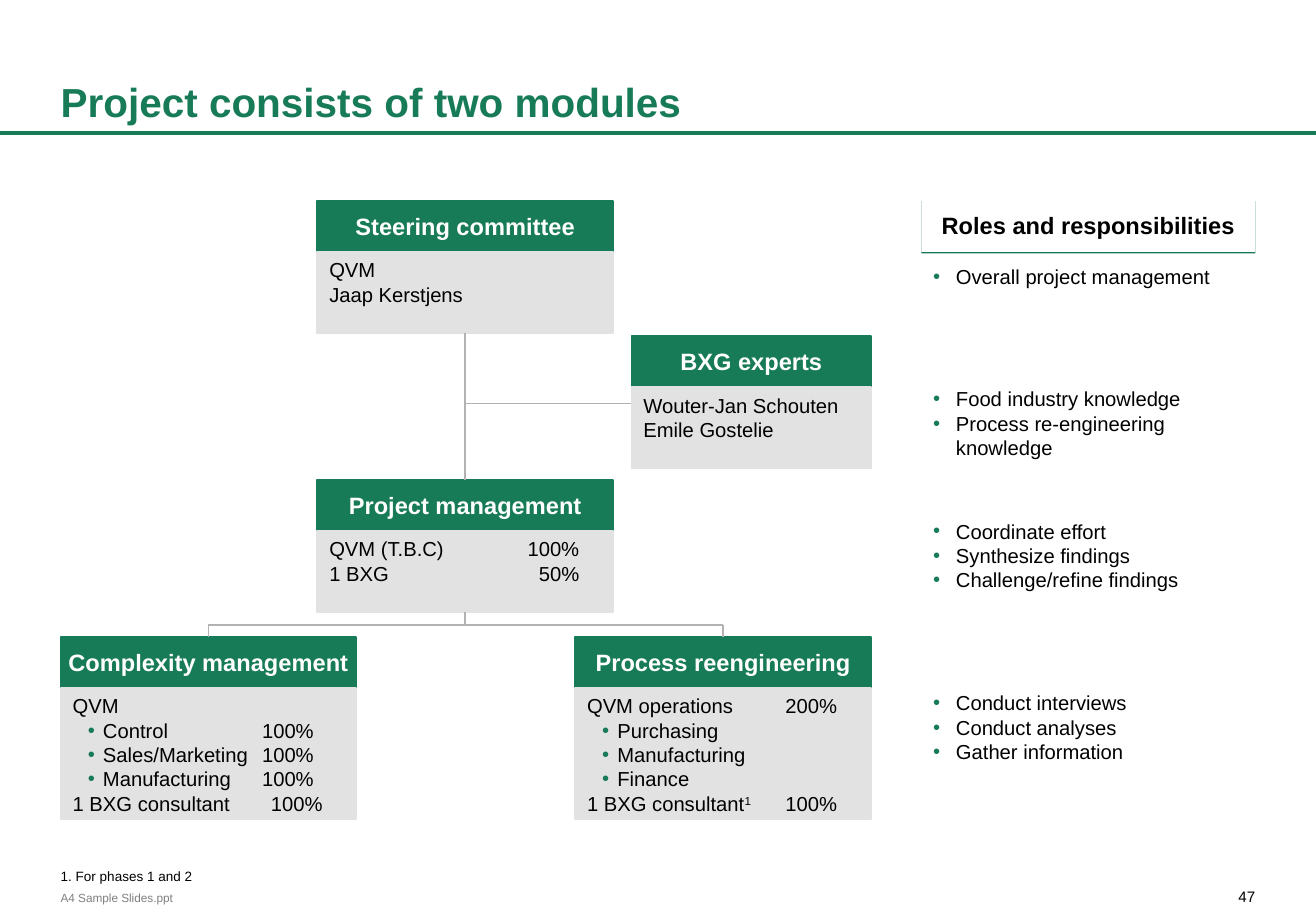
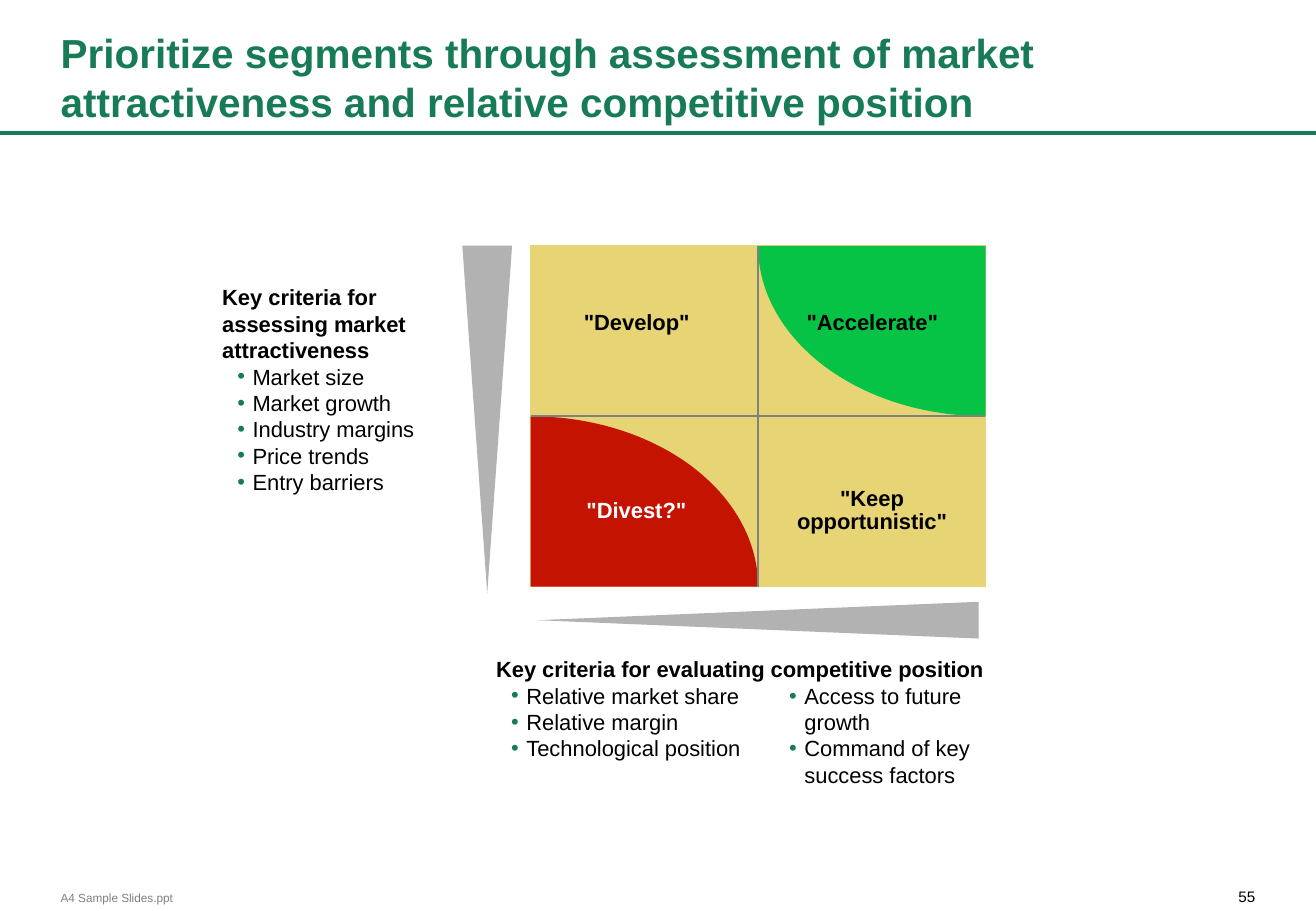
"""Build two consulting slides: a project organisation chart and a segment priority matrix."""
from itertools import chain
from math import cos, pi, sin

from lxml.etree import SubElement
from pptx import Presentation
from pptx.dml.color import RGBColor
from pptx.enum.shapes import MSO_CONNECTOR as Connector, MSO_SHAPE as Preset
from pptx.enum.text import MSO_ANCHOR as Anchor, PP_ALIGN as Align
from pptx.oxml.ns import qn
from pptx.util import Pt

GREEN = RGBColor(0x17, 0x7B, 0x57)
PANEL = RGBColor(0xE2, 0xE2, 0xE2)
SILVER = RGBColor(0xB2, 0xB2, 0xB2)
GREY = RGBColor(0x80, 0x80, 0x80)
SAND = RGBColor(0xE7, 0xD4, 0x75)
LIME = RGBColor(0x06, 0xC2, 0x45)
RED = RGBColor(0xC4, 0x13, 0x00)
BLACK = RGBColor(0, 0, 0)
WHITE = RGBColor(0xFF, 0xFF, 0xFF)

FONT = "Arial"
WIDTH, HEIGHT = 780.48, 540
MARGIN, RIGHT = 36, 744.5
BULLET = "• "

BASE = {"size": 12, "bold": False, "color": BLACK, "align": Align.LEFT, "anchor": Anchor.TOP,
        "insets": (7.2, 3.6, 7.2, 3.6), "wrap": True, "spacing": None, "hang": (18, 9), "tab": None}
TITLE = {"size": 24, "bold": True, "color": GREEN, "anchor": Anchor.BOTTOM, "insets": (0, 3.6, 0, 3.6)}
PAGE = {"size": 9, "align": Align.RIGHT, "insets": (0, 0, 0, 0)}
FOOTER = {"size": 7, "color": GREY, "anchor": Anchor.MIDDLE, "insets": (0, 0, 0, 0)}
NOTE = {"size": 8, "anchor": Anchor.BOTTOM, "insets": (0, 0, 0, 0), "spacing": 0.9}
HEADER = {"size": 14, "bold": True, "color": WHITE, "align": Align.CENTER, "anchor": Anchor.MIDDLE,
          "wrap": False}
MEMBERS = {"tab": 148.3}
ROLES_HEADER = {"size": 14, "bold": True, "align": Align.CENTER, "anchor": Anchor.BOTTOM,
                "insets": (7.2, 7.2, 7.2, 7.2)}
ROLES = {"insets": (7.2, 7.2, 7.2, 3.6), "hang": (13.5, 13.5)}
CRITERIA = {"size": 13, "bold": True, "insets": (9.4, 5, 5.8, 5)}
QUADRANT = {"size": 13, "bold": True, "align": Align.CENTER, "anchor": Anchor.MIDDLE,
            "insets": (7.5, 5, 7.5, 5), "spacing": 0.9}

FOOTER_TEXT = "A4 Sample Slides.ppt"
ORGANISATION = {
    "title": "Project consists of two modules",
    "page": 47,
    "note": "1. For phases 1 and 2",
    "roles_title": "Roles and responsibilities",
    "units": {
        "steering": (188.2, 119.2, 175.5, 48.4, "Steering committee", ["QVM", "Jaap Kerstjens"]),
        "experts": (374.5, 199.3, 142.2, 48.4, "BXG experts",
                    ["Wouter-Jan Schouten", "Emile Gostelie"]),
        "management": (188.2, 284.6, 175.5, 48.4, "Project management",
                       ["QVM (T.B.C)\t100%", "1 BXG\t50%"]),
        "complexity": (36, 377.7, 175.2, 78, "Complexity management",
                       ["QVM", "• Control\t100%", "• Sales/Marketing\t100%",
                        "• Manufacturing\t100%", "1 BXG consultant\t100%"]),
        "process": (341.1, 377.7, 175.6, 78, "Process reengineering",
                    ["QVM operations\t200%", "• Purchasing", "• Manufacturing", "• Finance",
                     "1 BXG consultant^1^\t100%"]),
    },
    "roles": [
        (149.4, ["Overall project management"]),
        (222, ["Food industry knowledge", "Process re-engineering knowledge"]),
        (300.4, ["Coordinate effort", "Synthesize findings", "Challenge/refine findings"]),
        (402.2, ["Conduct interviews", "Conduct analyses", "Gather information"]),
    ],
}
MATRIX = {
    "title": "Prioritize segments through assessment of market attractiveness "
             "and relative competitive position",
    "page": 55,
    "criteria": [
        (122.4, 163.4, 152, 134.6,
         ["Key criteria for assessing market attractiveness", "• Market size", "• Market growth",
          "• Industry margins", "• Price trends", "• Entry barriers"]),
        (284.8, 383.8, 324.7, 71.3,
         ["Key criteria for evaluating competitive position", "• Relative market share",
          "• Relative margin", "• Technological position"]),
        (449.7, 399.5, 159.8, 67,
         ["• Access to future growth", "• Command of key success factors"]),
    ],
    "quadrants": [
        (377.6, 191.8, 92, '"Develop"', BLACK),
        (517.3, 191.8, 104, '"Accelerate"', BLACK),
        (377.4, 303, 84, '"Divest?"', WHITE),
        (517.2, 302.8, 113, '"Keep opportunistic"', BLACK),
    ],
}


def set_attributes(target, values):
    for name, value in values.items():
        setattr(target, name, value)


def add_bullet(paragraph, hang):
    indent, outdent = hang
    properties = paragraph._p.get_or_add_pPr()
    properties.set("marL", str(Pt(indent)))
    properties.set("indent", str(-Pt(outdent)))
    SubElement(SubElement(properties, qn("a:buClr")), qn("a:srgbClr")).set("val", str(GREEN))
    SubElement(properties, qn("a:buFont")).set("typeface", FONT)
    SubElement(properties, qn("a:buChar")).set("char", BULLET.strip())


def add_tab(paragraph, position):
    tabs = SubElement(paragraph._p.get_or_add_pPr(), qn("a:tabLst"))
    tab = SubElement(tabs, qn("a:tab"))
    tab.set("pos", str(Pt(position)))
    tab.set("algn", "r")


def write(shape, lines, style):
    style = BASE | style
    left, top, right, bottom = map(Pt, style["insets"])
    frame = shape.text_frame
    set_attributes(frame, {"margin_left": left, "margin_top": top, "margin_right": right,
                           "margin_bottom": bottom, "word_wrap": style["wrap"],
                           "vertical_anchor": style["anchor"]})
    for index, line in enumerate(lines):
        paragraph = frame.add_paragraph() if index else frame.paragraphs[0]
        bulleted = line.startswith(BULLET)
        if bulleted:
            add_bullet(paragraph, style["hang"])
        if style["tab"]:
            add_tab(paragraph, style["tab"])
        set_attributes(paragraph, {"alignment": style["align"], "line_spacing": style["spacing"]})
        for part, text in enumerate(line.removeprefix(BULLET).split("^")):
            run = paragraph.add_run()
            run.text = text
            set_attributes(run.font, {"name": FONT, "size": Pt(style["size"]),
                                      "bold": style["bold"] and not bulleted})
            run.font.color.rgb = style["color"]
            if part % 2:
                run._r.get_or_add_rPr().set("baseline", "30000")


def add_text(slide, box, lines, style):
    write(slide.shapes.add_textbox(*map(Pt, box)), lines, style)


def paint(shape, color, outlined=False):
    shape.shadow.inherit = False
    shape.fill.solid()
    shape.fill.fore_color.rgb = color
    if outlined:
        shape.line.color.rgb = color
        shape.line.width = Pt(1)
    else:
        shape.line.fill.background()


def add_block(slide, box, color, preset=Preset.RECTANGLE, rotation=0, outlined=False):
    shape = slide.shapes.add_shape(preset, *map(Pt, box))
    shape.rotation = rotation
    paint(shape, color, outlined)
    return shape


def add_line(slide, ends, color, width=1):
    line = slide.shapes.add_connector(Connector.STRAIGHT, *map(Pt, ends))
    line.line.color.rgb = color
    line.line.width = Pt(width)
    SubElement(line._element.spPr, qn("a:effectLst"))


def add_underline_shadow(shape):
    effects = shape._element.spPr.find(qn("a:effectLst"))
    shadow = SubElement(effects, qn("a:outerShdw"))
    for name, value in {"dist": Pt(1), "dir": 5400000, "algn": "ctr", "rotWithShape": 0}.items():
        shadow.set(name, str(value))
    SubElement(shadow, qn("a:srgbClr")).set("val", str(GREEN))


def add_quarter_ellipse(slide, corner, reach, color, steps=48):
    (x, y), (dx, dy) = corner, reach
    angles = [step * pi / 2 / steps for step in range(steps + 1)]
    arc = [(Pt(x + dx * cos(angle)), Pt(y + dy * sin(angle))) for angle in angles]
    builder = slide.shapes.build_freeform(Pt(x), Pt(y))
    builder.add_line_segments(arc, close=True)
    paint(builder.convert_to_shape(), color)


def add_slide(presentation, content):
    slide = presentation.slides.add_slide(presentation.slide_layouts[6])
    add_text(slide, (RIGHT - 45, 525.8, 45, 11), [str(content["page"])], PAGE)
    add_text(slide, (MARGIN, 527.8, 75, 8.6), [FOOTER_TEXT], FOOTER)
    add_line(slide, (0, 79, WIDTH, 79), GREEN, 2.25)
    add_text(slide, (MARGIN, 12.6, 708, 65.4), [content["title"]], TITLE)
    return slide


def build_organisation(presentation):
    slide = add_slide(presentation, ORGANISATION)
    units, header = ORGANISATION["units"], 30
    for left, top, width, height, name, members in units.values():
        write(add_block(slide, (left, top, width, header), GREEN, outlined=True), [name], HEADER)
        body = add_block(slide, (left, top + header, width, height), PANEL, outlined=True)
        write(body, members, MEMBERS)

    tops = {key: unit[1] for key, unit in units.items()}
    bottoms = {key: unit[1] + header + unit[3] for key, unit in units.items()}
    centers = {key: unit[0] + unit[2] / 2 for key, unit in units.items()}
    trunk, branch = centers["steering"], 239.3
    modules = ("complexity", "process")
    bus = (bottoms["management"] + tops["process"]) / 2
    lines = [(trunk, bottoms["steering"], trunk, tops["management"]),
             (trunk, branch, units["experts"][0], branch),
             (trunk, bottoms["management"], trunk, bus),
             (centers["complexity"], bus, centers["process"], bus)]
    drops = [(centers[key], bus, centers[key], tops[key]) for key in modules]
    for ends in chain(lines, drops):
        add_line(slide, ends, SILVER)

    left = 546.4
    for top, items in ORGANISATION["roles"]:
        add_text(slide, (left, top, 196.5, 78), [BULLET + item for item in items], ROLES)
    heading = add_block(slide, (left, 118.3, RIGHT - left, 31), WHITE)
    add_underline_shadow(heading)
    write(heading, [ORGANISATION["roles_title"]], ROLES_HEADER)
    add_text(slide, (MARGIN, 498.2, 708.5, 26), [ORGANISATION["note"]], NOTE)


def build_matrix(presentation):
    slide = add_slide(presentation, MATRIX)
    for *box, lines in MATRIX["criteria"]:
        add_text(slide, box, lines, CRITERIA)

    left, top, width, height = 314.7, 145.8, 269.8, 201.9
    right, bottom = left + width, top + height
    half_width, half_height = width / 2, height / 2
    add_block(slide, (left, top, width, height), SAND, outlined=True)
    add_quarter_ellipse(slide, (right, top), (-half_width, half_height), LIME)
    add_quarter_ellipse(slide, (left, bottom), (half_width, -half_height), RED)
    middle_x, middle_y = left + half_width, top + half_height
    add_line(slide, (middle_x, top, middle_x, bottom), GREY)
    add_line(slide, (left, middle_y, right, middle_y), GREY)

    add_block(slide, (274.2, 145.6, 29.5, 206), SILVER, Preset.ISOSCELES_TRIANGLE, 180)
    thickness, length = 21.8, 261.6
    box = (middle_x - thickness / 2, 367.6 - length / 2, thickness, length)
    add_block(slide, box, SILVER, Preset.ISOSCELES_TRIANGLE, 270)

    label_height = 36
    for x, y, label_width, label, color in MATRIX["quadrants"]:
        box = (x - label_width / 2, y - label_height / 2, label_width, label_height)
        add_text(slide, box, [label], QUADRANT | {"color": color})


def main():
    presentation = Presentation()
    presentation.slide_width = Pt(WIDTH)
    presentation.slide_height = Pt(HEIGHT)
    build_organisation(presentation)
    build_matrix(presentation)
    presentation.save("out.pptx")


if __name__ == "__main__":
    main()
